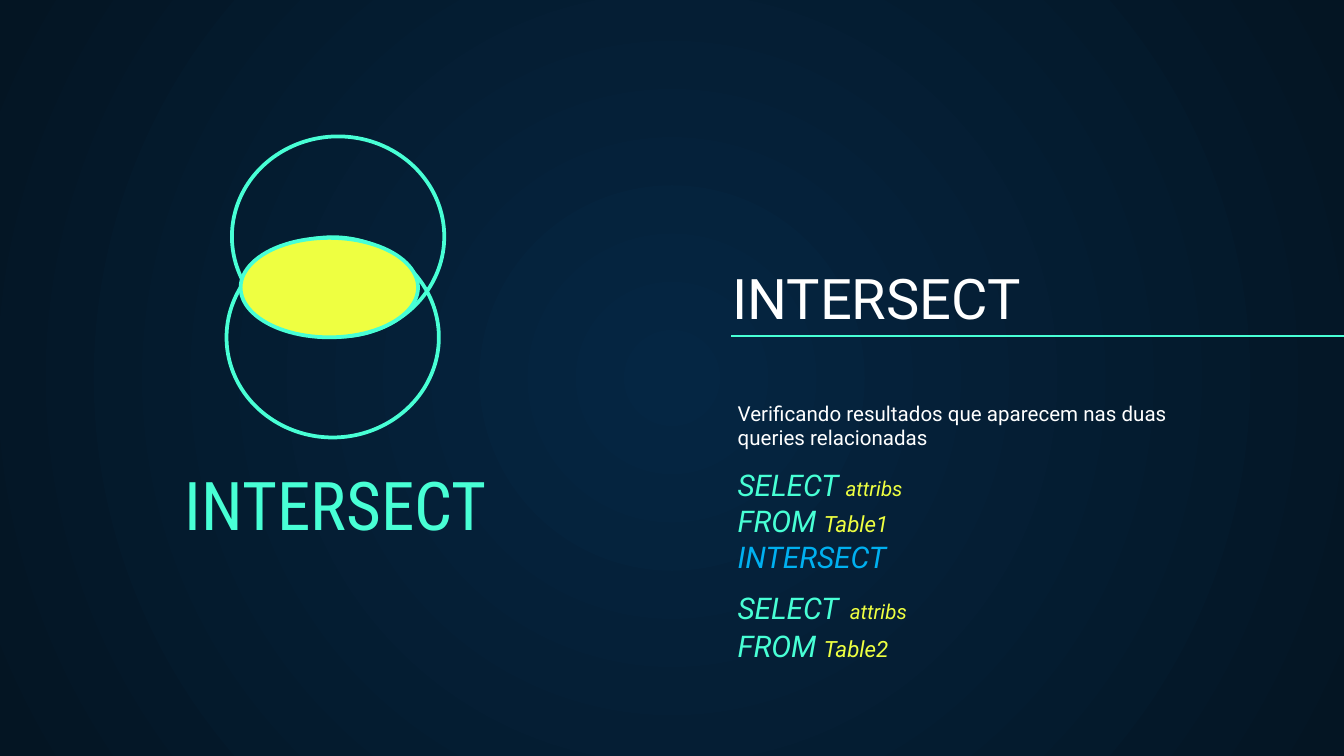
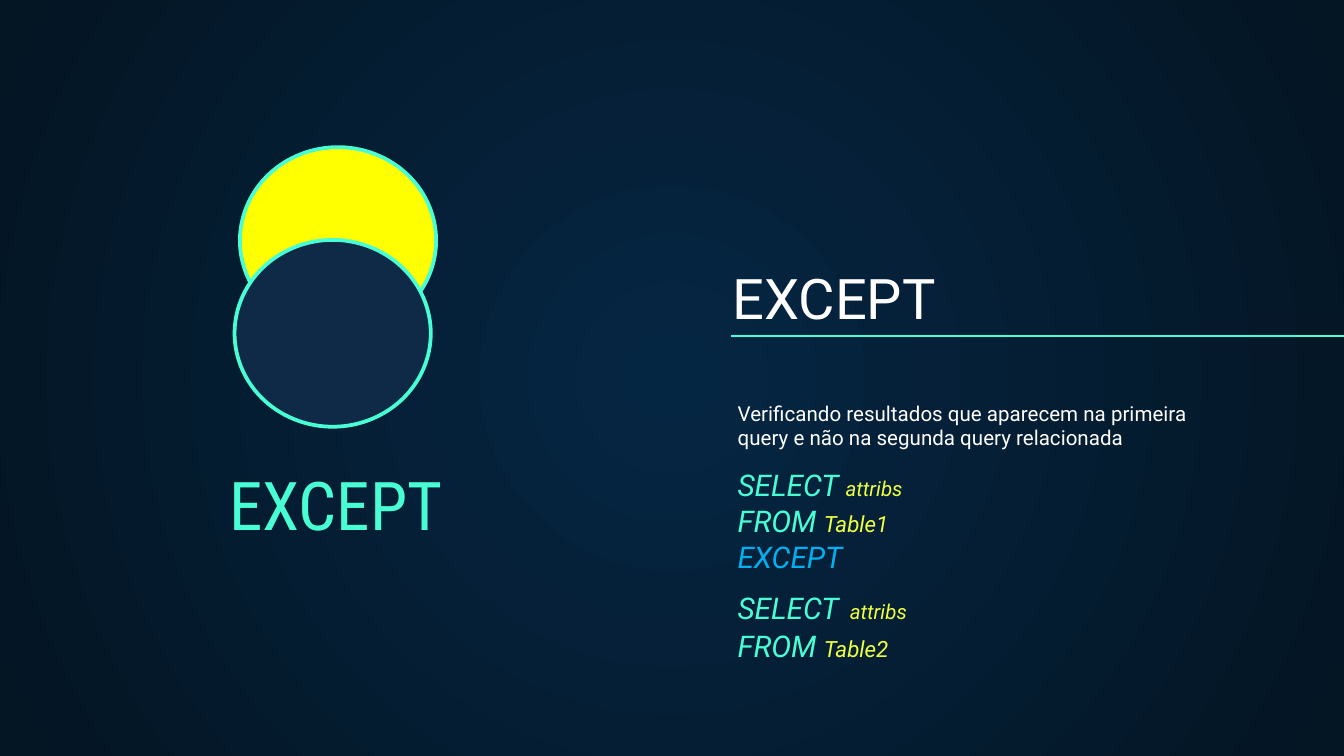
from dataclasses import dataclass

from lxml import etree
from pptx import Presentation
from pptx.dml.color import RGBColor
from pptx.enum.shapes import MSO_CONNECTOR, MSO_SHAPE
from pptx.enum.text import MSO_ANCHOR, MSO_AUTO_SIZE, PP_ALIGN
from pptx.oxml.ns import qn
from pptx.util import Inches, Pt

OVAL = MSO_SHAPE.OVAL
STRAIGHT = MSO_CONNECTOR.STRAIGHT
TOP, BOTTOM = MSO_ANCHOR.TOP, MSO_ANCHOR.BOTTOM
LEFT, CENTER = PP_ALIGN.LEFT, PP_ALIGN.CENTER
NO_FIT = MSO_AUTO_SIZE.NONE


@dataclass(frozen=True)
class Theme:
    """Colours, fonts and type sizes of the deck."""
    glow: str = "052643"
    night: str = "041523"
    disc: str = "0E2A47"
    white: str = "FFFFFF"
    mint: str = "48FFD5"
    lime: str = "EEFF41"
    yellow: str = "FFFF00"
    blue: str = "00B0F0"
    font: str = "Roboto"
    narrow: str = "Roboto Condensed"
    title: int = 30
    label: int = 36
    body: int = 11
    table: int = 12
    code: int = 16
    gap: int = 24
    rule: float = 0.75
    ring: float = 2


THEME = Theme()


def paint_back(master):
    """Give the master a round gradient that all slides share."""
    fill = master.background.fill
    fill.gradient()
    for stop, tone in zip(fill.gradient_stops, (THEME.glow, THEME.night)):
        stop.color.rgb = RGBColor.from_string(tone)
    grad = master.element.find(".//" + qn("a:gradFill"))
    grad.remove(grad.find(qn("a:lin")))
    path = etree.SubElement(grad, qn("a:path"), path="circle")
    sides = dict.fromkeys("ltrb", "50000")
    etree.SubElement(path, qn("a:fillToRect"), sides)


def place(shape, box):
    """Move a shape to a box given in inches."""
    shape.left, shape.top, shape.width, shape.height = map(Inches, box)


def add_run(para, text, size, tone, font=THEME.font, slant=False):
    """Add one styled run to a paragraph."""
    run = para.add_run()
    run.text = text
    run.font.size = Pt(size)
    run.font.name = font
    run.font.italic = slant
    run.font.color.rgb = RGBColor.from_string(tone)


def set_frame(shape, anchor):
    """Set margins, wrap and anchor, and return the text frame."""
    frame = shape.text_frame
    frame.word_wrap = True
    frame.auto_size = NO_FIT
    frame.vertical_anchor = anchor
    frame.margin_left = frame.margin_right = Inches(0.1)
    frame.margin_top = frame.margin_bottom = Inches(0.1)
    return frame


def add_title(slide, text):
    """Fill the title and draw the rule below it."""
    title = slide.shapes.title
    place(title, (5.35, 1.9, 3.86, 0.66))
    para = set_frame(title, BOTTOM).paragraphs[0]
    para.alignment = LEFT
    add_run(para, text, THEME.title, THEME.white)
    ends = map(Inches, (5.44, 2.5, 10.3, 2.5))
    rule = slide.shapes.add_connector(STRAIGHT, *ends)
    rule.line.color.rgb = RGBColor.from_string(THEME.mint)
    rule.line.width = Pt(THEME.rule)
    etree.SubElement(rule.element.spPr, qn("a:effectLst"))


def add_text(slide, box, lines, anchor=TOP, align=LEFT):
    """Add a text box whose lines are lists of run settings."""
    shape = slide.shapes.add_textbox(*map(Inches, box))
    frame = set_frame(shape, anchor)
    for index, runs in enumerate(lines):
        para = frame.add_paragraph() if index else frame.paragraphs[0]
        para.alignment = align
        for run in runs:
            add_run(para, *run)


def add_code(slide, word):
    """Add the two queries joined by the set word."""
    def key(text, tone=THEME.mint):
        return text, THEME.code, tone, THEME.font, True

    def name(text, size):
        return text, size, THEME.lime, THEME.font, True

    space = (" ", THEME.gap, THEME.mint, THEME.font, True)
    attribs = name("attribs", THEME.body)
    lines = [
        [key("SELECT "), attribs],
        [key("FROM "), name("Table1", THEME.table)],
        [key(word, THEME.blue)],
        [key("SELECT"), space, attribs],
        [key("FROM "), name("Table2", THEME.table)],
    ]
    add_text(slide, (5.39, 3.55, 3.93, 1.49), lines, BOTTOM)


def add_oval(slide, box, tone):
    """Add a ringed oval on its side, with or without a fill."""
    oval = slide.shapes.add_shape(OVAL, *map(Inches, box))
    oval.rotation = 90
    oval.shadow.inherit = False
    if tone:
        oval.fill.solid()
        oval.fill.fore_color.rgb = RGBColor.from_string(tone)
    else:
        oval.fill.background()
    oval.line.color.rgb = RGBColor.from_string(THEME.mint)
    oval.line.width = Pt(THEME.ring)


def add_page(deck, word, note, ovals):
    """Add one slide on a set word."""
    slide = deck.slides.add_slide(deck.slide_layouts[5])
    add_title(slide, word)
    add_text(slide, (5.39, 2.88, 3.78, 1.08),
             [[(note, THEME.body, THEME.white)]])
    add_text(slide, (1.15, 3.49, 2.7, 0.66),
             [[(word, THEME.label, THEME.mint, THEME.narrow)]],
             BOTTOM, CENTER)
    add_code(slide, word)
    for box, tone in ovals:
        add_oval(slide, box, tone)


def main():
    """Build and save the deck."""
    deck = Presentation()
    deck.slide_width = Inches(10)
    deck.slide_height = deck.slide_width * 9 // 16
    paint_back(deck.slide_master)
    add_page(
        deck, "INTERSECT",
        "Verificando resultados que aparecem nas duas queries relacionadas",
        [((1.77, 0.97, 1.49, 1.58), None),
         ((1.73, 1.72, 1.49, 1.58), None),
         ((2.08, 1.48, 0.74, 1.32), THEME.lime)])
    add_page(
        deck, "EXCEPT",
        "Verificando resultados que aparecem na primeira query "
        "e não na segunda query relacionada",
        [((1.82, 1.06, 1.39, 1.46), THEME.yellow),
         ((1.78, 1.75, 1.39, 1.46), THEME.disc)])
    deck.save("out.pptx")


if __name__ == "__main__":
    main()
